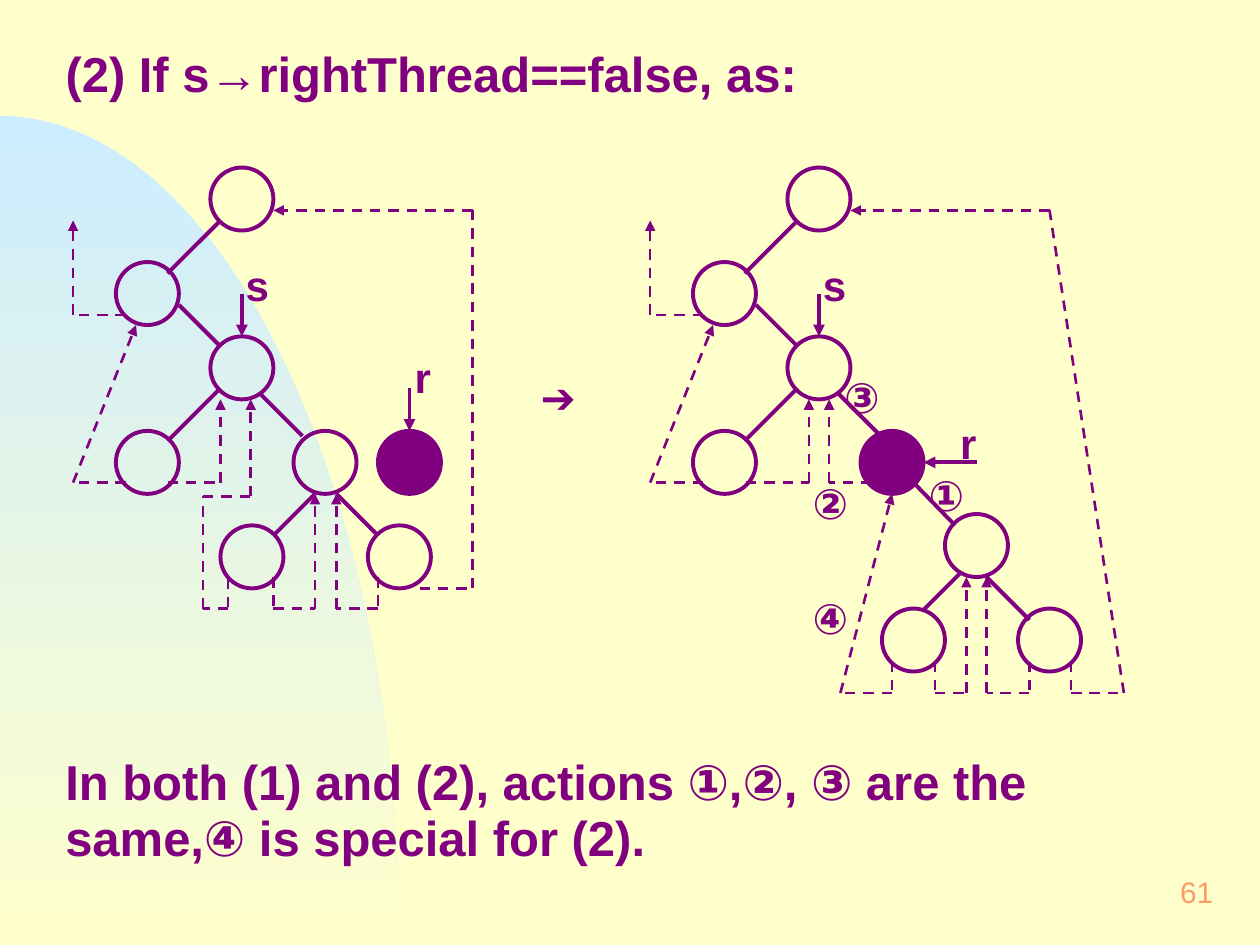
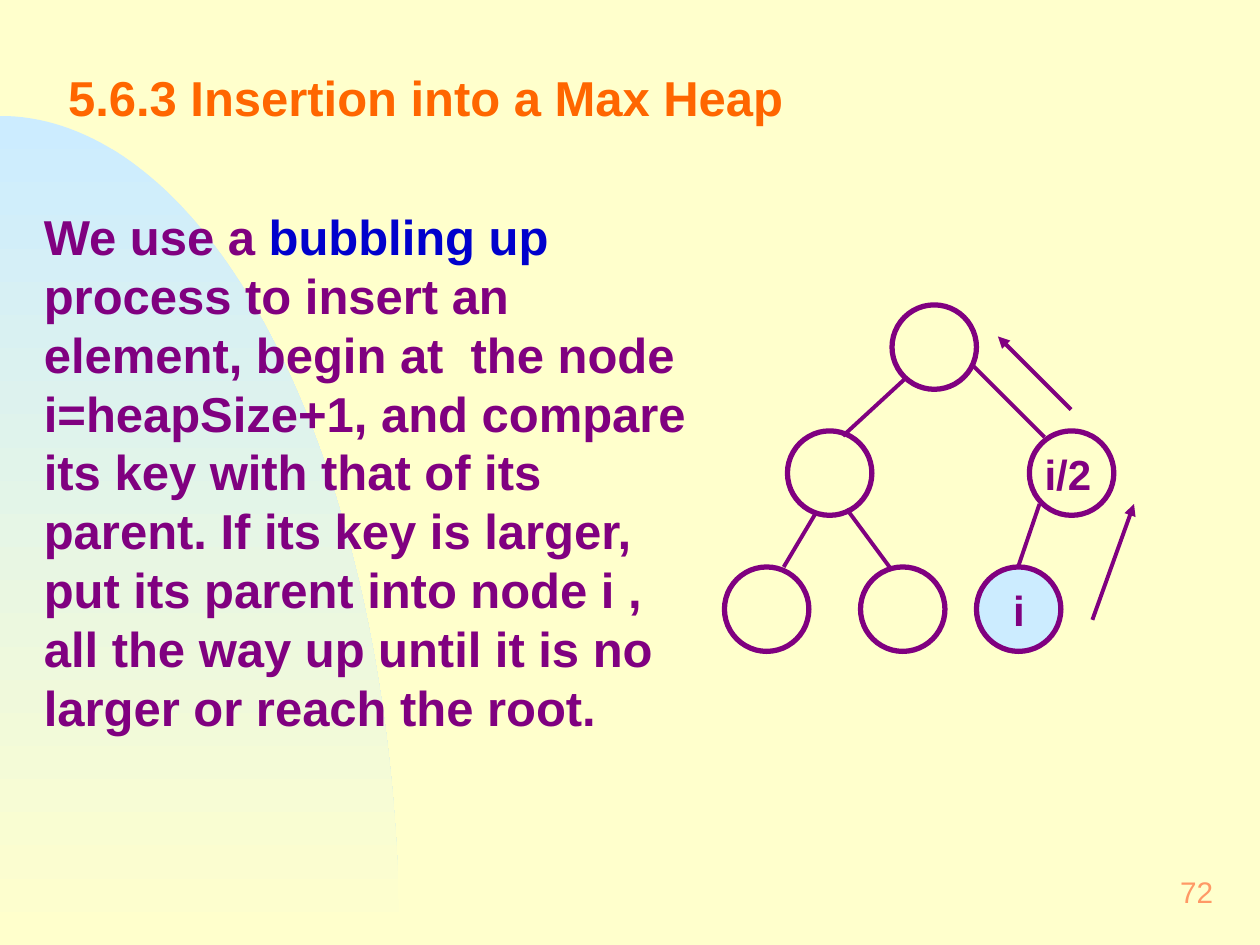
from dataclasses import dataclass
from itertools import pairwise
from math import cos, pi, sin

from lxml import etree
from pptx import Presentation
from pptx.dml.color import RGBColor
from pptx.enum import dml, shapes, text
from pptx.oxml import ns
from pptx.util import Inches, Pt

COLORS = {
    "background": "FFFFCC",
    "sky": "CCECFF",
    "ink": "800080",
    "heading": "FF6600",
    "keyword": "0000CC",
    "page": "FF9966",
}
FONT = "Arial"
WIDE_INSETS = (0.12, 0.06)
TIGHT_INSETS = (0.1, 0.05)
TREE_SHIFT = 4.58


@dataclass(frozen=True)
class Node:
    """A circular tree node, placed by its top left corner."""

    x: float
    y: float
    fill: str | None = None


@dataclass(frozen=True)
class Route:
    """A line through several points, with an optional arrow at its end."""

    points: tuple[tuple[float, float], ...]
    arrow: bool = False
    dashed: bool = False


@dataclass(frozen=True)
class Label:
    """A short bold text, placed by the top left corner of its box."""

    words: str
    x: float
    y: float
    width: float = 0.58


def link(*points) -> Route:
    """Describe a solid edge between nodes."""
    return Route(points)


def pointer(*points) -> Route:
    """Describe a solid arrow."""
    return Route(points, arrow=True)


def thread(*points) -> Route:
    """Describe a dashed arrow."""
    return Route(points, arrow=True, dashed=True)


UPPER_NODES = [Node(1.67, 1.33), Node(0.92, 2.08), Node(1.67, 2.67), Node(0.92, 3.42)]
UPPER_ROUTES = [
    link((1.75, 1.75), (1.33, 2.17)),
    link((1.42, 2.42), (1.75, 2.75)),
    link((1.75, 3.08), (1.33, 3.5)),
    pointer((1.92, 2.33), (1.92, 2.67)),
    thread((1, 2.5), (0.58, 2.5), (0.58, 1.75)),
    thread((1, 3.83), (0.58, 3.83), (1.08, 2.58)),
]
BEFORE_NODES = [Node(2.33, 3.42), Node(3, 3.42, "ink"), Node(1.75, 4.17), Node(2.92, 4.17)]
BEFORE_ROUTES = [
    link((2.07, 3.13), (2.4, 3.46)),
    link((2.5, 3.92), (2.17, 4.25)),
    link((2.67, 3.92), (3, 4.25)),
    pointer((3.25, 3.08), (3.25, 3.42)),
    thread((1.33, 3.83), (1.75, 3.83), (1.75, 3.17)),
    thread((1.81, 4.59), (1.81, 4.83), (1.61, 4.83), (1.61, 3.94), (1.99, 3.94), (1.99, 3.17)),
    thread((2.17, 4.58), (2.17, 4.83), (2.5, 4.83), (2.5, 3.92)),
    thread((3, 4.58), (3, 4.83), (2.67, 4.83), (2.67, 3.92)),
    thread((3.33, 4.67), (3.75, 4.67), (3.75, 1.67), (2.17, 1.67)),
]
AFTER_NODES = [Node(6.83, 3.42, "ink"), Node(7.5, 4.08), Node(7, 4.83), Node(8.08, 4.83)]
AFTER_ROUTES = [
    link((6.64, 3.11), (6.97, 3.44)),
    link((7.25, 3.83), (7.58, 4.17)),
    link((7.63, 4.54), (7.33, 4.84)),
    link((7.83, 4.58), (8.17, 4.92)),
    pointer((7.75, 3.67), (7.33, 3.67)),
    thread((5.92, 3.83), (6.42, 3.83), (6.42, 3.17)),
    thread((6.92, 3.83), (6.58, 3.83), (6.58, 3.17)),
    thread((7.08, 5.25), (7.08, 5.5), (6.67, 5.5), (7.08, 3.92)),
    thread((7.42, 5.25), (7.42, 5.5), (7.67, 5.5), (7.67, 4.58)),
    thread((8.17, 5.25), (8.17, 5.5), (7.83, 5.5), (7.83, 4.58)),
    thread((8.5, 5.25), (8.5, 5.5), (8.92, 5.5), (8.33, 1.67), (6.75, 1.67)),
]
THREAD_LABELS = [
    Label("s", 1.83, 2),
    Label("s", 1.83 + TREE_SHIFT, 2),
    Label("r", 3.17, 2.73),
    Label("r", 7.5, 3.25),
    Label("➔", 4.17, 2.89, 0.67),
    Label("①", 7.25, 3.67),
    Label("②", 6.33, 3.73),
    Label("③", 6.58, 2.89),
    Label("④", 6.33, 4.64),
]
HEAP_NODES = [
    Node(7.08, 2.42), Node(6.25, 3.42), Node(8.17, 3.42),
    Node(5.75, 4.5), Node(6.83, 4.5), Node(7.75, 4.5, "sky"),
]
HEAP_ROUTES = [
    link((7.19, 3), (6.69, 3.46)),
    link((7.71, 2.89), (8.29, 3.47)),
    link((6.47, 4.08), (6.22, 4.5)),
    link((6.72, 4.04), (7.06, 4.5)),
    link((8.25, 4), (8.08, 4.5)),
    pointer((8.67, 4.92), (9, 4)),
    pointer((8.5, 3.25), (7.92, 2.67)),
]
HEAP_LABELS = [Label("i", 7.92, 4.58, 0.5), Label("i/2", 8.17, 3.5, 0.83)]


def rgb(name: str) -> RGBColor:
    """Look up a colour by name."""
    return RGBColor.from_string(COLORS[name])


def place(shape, left: float, top: float, width: float, height: float) -> None:
    """Move and size a shape, in inches."""
    shape.left, shape.top = Inches(left), Inches(top)
    shape.width, shape.height = Inches(width), Inches(height)


def set_text(frame, runs, size: float, color: str, insets, bold=True,
             align=text.PP_ALIGN.LEFT, anchor=text.MSO_ANCHOR.TOP, spacing=None) -> None:
    """Fill a text frame with one paragraph of (words, colour) runs."""
    frame.word_wrap = True
    frame.auto_size = text.MSO_AUTO_SIZE.NONE
    frame.vertical_anchor = anchor
    frame.margin_left = frame.margin_right = Inches(insets[0])
    frame.margin_top = frame.margin_bottom = Inches(insets[1])
    paragraph = frame.paragraphs[0]
    paragraph.alignment = align
    paragraph.line_spacing = spacing
    paragraph.space_before = Pt(0)
    font = paragraph.font
    font.name, font.size, font.bold = FONT, Pt(size), bold
    font.color.rgb = rgb(color)
    for words, run_color in runs:
        run = paragraph.add_run()
        run.text = words
        if run_color != color:
            run.font.color.rgb = rgb(run_color)


def add_text(slide, box, words: str, size: float, color="ink", insets=WIDE_INSETS, **style) -> None:
    """Add a text box of one colour."""
    frame = slide.shapes.add_textbox(*map(Inches, box)).text_frame
    set_text(frame, [(words, color)], size, color, insets, **style)


def add_label(slide, label: Label) -> None:
    """Draw a short label."""
    add_text(slide, (label.x, label.y, label.width, 0.52), label.words, 24)


def add_node(slide, node: Node, size: float, weight: float, shift: float = 0) -> None:
    """Draw a tree node."""
    circle = slide.shapes.add_shape(
        shapes.MSO_SHAPE.OVAL, *map(Inches, (node.x + shift, node.y, size, size)))
    circle.shadow.inherit = False
    circle.line.color.rgb = rgb("ink")
    circle.line.width = Pt(weight)
    if node.fill:
        circle.fill.solid()
        circle.fill.fore_color.rgb = rgb(node.fill)
    else:
        circle.fill.background()


def add_route(slide, route: Route, shift: float = 0) -> None:
    """Draw a route as straight connectors, the last one with the arrow."""
    for (x1, y1), (x2, y2) in pairwise(route.points):
        segment = slide.shapes.add_connector(
            shapes.MSO_CONNECTOR.STRAIGHT, *map(Inches, (x1 + shift, y1, x2 + shift, y2)))
        segment.line.color.rgb = rgb("ink")
        segment.line.width = Pt(1.5 if route.dashed else 2.25)
        if route.dashed:
            segment.line.dash_style = dml.MSO_LINE.DASH
        etree.SubElement(segment.element.spPr, ns.qn("a:effectLst"))
    if route.arrow:
        etree.SubElement(segment.line._get_or_add_ln(), ns.qn("a:tailEnd"), type="triangle")


def add_tree(slide, nodes, routes, size=0.5, weight=2.25, shift=0.0) -> None:
    """Draw the nodes and the lines of a tree."""
    for node in nodes:
        add_node(slide, node, size, weight, shift)
    for route in routes:
        add_route(slide, route, shift)


def add_hill(slide, layout) -> None:
    """Draw the gradient quarter ellipse and move it to the layout."""
    angles = [step * pi / 160 for step in range(81)]
    rim = [(Inches(3.17 * sin(a)), Inches(7.5 - 6.58 * cos(a))) for a in angles]
    builder = slide.shapes.build_freeform(*rim[0])
    builder.add_line_segments(rim[1:] + [(0, Inches(7.5))], close=True)
    hill = builder.convert_to_shape()
    hill.shadow.inherit = False
    hill.line.fill.background()
    hill.fill.gradient()
    hill.fill.gradient_angle = 270
    for stop, name, position in zip(hill.fill.gradient_stops, ("sky", "background"), (0, 1)):
        stop.color.rgb = rgb(name)
        stop.position = position
    layout.shapes.element.insert(2, hill.element)


def add_slide(deck, layout, heading: str, box, page: str, color: str, insets, **style):
    """Add a slide with its title and page number."""
    slide = deck.slides.add_slide(layout)
    title = slide.shapes.title
    place(title, *box)
    set_text(title.text_frame, [(heading, color)], 28, color, insets, **style)
    add_text(slide, (7.67, 6.83, 2.08, 0.5), page, 17, "page", bold=False,
             align=text.PP_ALIGN.RIGHT, anchor=text.MSO_ANCHOR.MIDDLE)
    return slide


def build_thread_slide(deck, layout):
    """Build the slide on inserting into a threaded tree."""
    slide = add_slide(deck, layout, "(2) If s→rightThread==false, as:", (0.42, 0.33, 9.33, 0.55),
                      "61", "ink", TIGHT_INSETS, spacing=0.95)
    for shift in (0, TREE_SHIFT):
        add_tree(slide, UPPER_NODES, UPPER_ROUTES, shift=shift)
    add_tree(slide, BEFORE_NODES, BEFORE_ROUTES)
    add_tree(slide, AFTER_NODES, AFTER_ROUTES)
    for label in THREAD_LABELS:
        add_label(slide, label)
    add_text(slide, (0.42, 5.95, 9.33, 0.99),
             "In both (1) and (2), actions ①,②, ③ are the same,④ is special for (2).",
             28, insets=TIGHT_INSETS, spacing=0.95)
    return slide


def build_heap_slide(deck, layout) -> None:
    """Build the slide on inserting into a max heap."""
    slide = add_slide(deck, layout, "5.6.3 Insertion into a Max Heap", (0.42, 0.33, 9.25, 1),
                      "72", "heading", WIDE_INSETS, anchor=text.MSO_ANCHOR.MIDDLE, spacing=0.7)
    explanation = slide.shapes.add_textbox(*map(Inches, (0.25, 1.59, 5.42, 4.31)))
    set_text(explanation.text_frame, [
        ("We use a ", "ink"),
        ("bubbling up", "keyword"),
        (" process to insert an element, begin at  the node i=heapSize+1, and compare its key "
         "with that of its parent. If its key is larger, put its parent into node i , all the "
         "way up until it is no larger or reach the root.", "ink"),
    ], 28, "ink", TIGHT_INSETS)
    add_tree(slide, HEAP_NODES, HEAP_ROUTES, size=0.67, weight=3)
    for label in HEAP_LABELS:
        add_label(slide, label)


def main() -> None:
    """Build and save the deck."""
    deck = Presentation()
    deck.slide_width, deck.slide_height = Inches(10), Inches(7.5)
    backdrop = deck.slide_master.background.fill
    backdrop.solid()
    backdrop.fore_color.rgb = rgb("background")
    layout = deck.slide_layouts.get_by_name("Title Only")
    thread_slide = build_thread_slide(deck, layout)
    add_hill(thread_slide, layout)
    build_heap_slide(deck, layout)
    deck.save("out.pptx")


if __name__ == "__main__":
    main()
